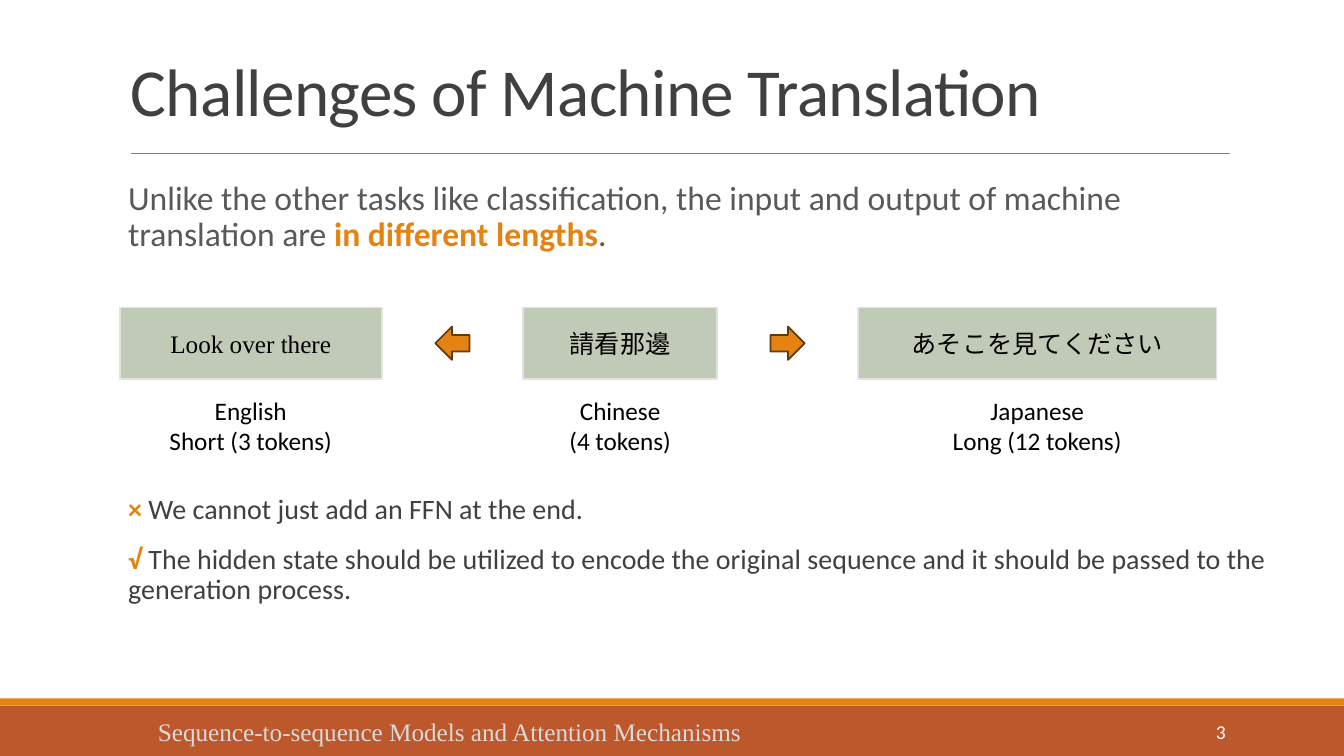
from collections import namedtuple
from dataclasses import dataclass

from lxml.etree import SubElement
from pptx import Presentation
from pptx.dml.color import RGBColor
from pptx.enum.shapes import MSO_CONNECTOR as Connector, MSO_SHAPE as Preset
from pptx.enum.text import MSO_ANCHOR as Anchor, PP_ALIGN as Align
from pptx.oxml.ns import qn
from pptx.util import Cm, Pt

Box = namedtuple("Box", "left top width height")
Card = namedtuple("Card", "phrase font left width caption caption_width")


@dataclass(frozen=True)
class Theme:
    sans: str = "Calibri"
    serif: str = "Times New Roman"
    cjk: str = "Noto Sans CJK TC"
    accent: str = "E48312"
    accent_edge: str = "643908"
    bar: str = "BD582C"
    rule: str = "808080"
    dark: str = "404040"
    muted: str = "595959"
    black: str = "000000"
    white: str = "FFFFFF"
    pale: str = "D9D9D9"
    card: str = "C1CAB6"
    card_edge: str = "E0E4DB"
    title_size: int = 48
    intro_size: int = 24
    point_size: int = 20
    label_size: int = 18
    number_size: int = 14


THEME = Theme()
CARDS = [
    Card("Look over there", THEME.serif, 0, 6.6, ["English", "Short (3 tokens)"], 5.13),
    Card("請看那邊", THEME.cjk, 10.16, 4.9, ["Chinese", "(4 tokens)"], 3.63),
    Card("あそこを見てください", THEME.serif, 18.6, 9.04,
         ["Japanese", "Long (12 tokens)"], 5.77),
]


def place(box):
    return [Cm(length) for length in box]


def style(span, size, color, font=THEME.sans, bold=False):
    span.font.size = Pt(size)
    span.font.name = font
    span.font.bold = bold
    span.font.color.rgb = RGBColor.from_string(color)
    east_asian = SubElement(span.font._element, qn("a:ea"))
    east_asian.set("typeface", THEME.cjk)


def add_block(page, preset, box, fill, edge=None):
    block = page.shapes.add_shape(preset, *place(box))
    block.shadow.inherit = False
    block.fill.solid()
    block.fill.fore_color.rgb = RGBColor.from_string(fill)
    if edge:
        block.line.color.rgb = RGBColor.from_string(edge)
        block.line.width = Pt(1.25)
    else:
        block.line.fill.background()
    return block


def add_label(page, box, lines, size, color, font=THEME.sans,
              align=Align.LEFT, anchor=Anchor.TOP):
    frame = page.shapes.add_textbox(*place(box)).text_frame
    frame.word_wrap = True
    frame.vertical_anchor = anchor
    frame.text = "\n".join(lines)
    for para in frame.paragraphs:
        para.alignment = align
        for span in para.runs:
            style(span, size, color, font)
    return frame


def add_body(page, box, paragraphs, size):
    frame = page.shapes.add_textbox(*place(box)).text_frame
    frame.word_wrap = True
    frame.margin_left = frame.margin_right = 0
    for index, pieces in enumerate(paragraphs):
        para = frame.add_paragraph() if index else frame.paragraphs[0]
        para.line_spacing = 0.9
        para.space_after = Pt(2)
        if index:
            para.space_before = Pt(12)
        for text, color in pieces:
            span = para.add_run()
            span.text = text
            style(span, size, color, bold=color == THEME.accent)


def draw_footer(page, box):
    stripe = 0.18
    add_block(page, Preset.RECTANGLE,
              Box(box.left, box.top + stripe, box.width, box.height - stripe), THEME.bar)
    add_block(page, Preset.RECTANGLE, box._replace(height=stripe), THEME.accent)
    text_top = box.top + 0.33
    add_label(page, Box(box.left + 3.73, text_top, 17.65, 1.02),
              ["Sequence-to-sequence Models and Attention Mechanisms"],
              THEME.label_size, THEME.pale, THEME.serif)
    add_label(page, Box(box.left + 27.51, text_top, 3.63, 1.02), ["3"],
              THEME.number_size, THEME.white, align=Align.RIGHT, anchor=Anchor.MIDDLE)


def draw_title(page, box):
    frame = add_label(page, box, ["Challenges of Machine Translation"],
                      THEME.title_size, THEME.dark, anchor=Anchor.MIDDLE)
    para = frame.paragraphs[0]
    para.line_spacing = 0.85
    para.runs[0].font._element.set("spc", "-50")
    bottom = Cm(box.top + box.height)
    rule = page.shapes.add_connector(Connector.STRAIGHT, Cm(box.left + 0.25), bottom,
                                     Cm(box.left + box.width), bottom)
    rule.line.color.rgb = RGBColor.from_string(THEME.rule)
    rule.line.width = Pt(0.5)
    SubElement(rule._element.spPr, qn("a:effectLst"))


def draw_card(page, box, card):
    block = add_block(page, Preset.RECTANGLE, box, THEME.card, THEME.card_edge)
    frame = block.text_frame
    frame.text = card.phrase
    frame.vertical_anchor = Anchor.MIDDLE
    frame.paragraphs[0].alignment = Align.CENTER
    style(frame.paragraphs[0].runs[0], THEME.label_size, THEME.black, card.font)
    caption_left = box.left + (box.width - card.caption_width) / 2
    add_label(page, Box(caption_left, box.top + 2.08, card.caption_width, 1.8),
              card.caption, THEME.label_size, THEME.black, align=Align.CENTER)


def draw_translations(page, box):
    card_height, arrow_width, arrow_height = 1.8, 0.86, 0.84
    for card in CARDS:
        draw_card(page, Box(box.left + card.left, box.top, card.width, card_height), card)
    arrows = [Preset.LEFT_ARROW, Preset.RIGHT_ARROW]
    for arrow, before, after in zip(arrows, CARDS, CARDS[1:]):
        middle = box.left + (before.left + before.width + after.left) / 2
        add_block(page, arrow,
                  Box(middle - arrow_width / 2, box.top + (card_height - arrow_height) / 2,
                      arrow_width, arrow_height), THEME.accent, THEME.accent_edge)


def draw_intro(page, box):
    add_body(page, box, [[
        ("Unlike the other tasks like classification, the input and output of "
         "machine translation are ", THEME.muted),
        ("in different lengths", THEME.accent),
        (".", THEME.muted),
    ]], THEME.intro_size)


def draw_conclusions(page, box):
    add_body(page, box, [
        [("×", THEME.accent), (" We cannot just add an FFN at the end.", THEME.dark)],
        [("√ ", THEME.accent),
         ("The hidden state should be utilized to encode the original sequence and "
          "it should be passed to the generation process.", THEME.dark)],
    ], THEME.point_size)


def main():
    deck = Presentation()
    deck.slide_width, deck.slide_height = Cm(33.87), Cm(19.05)
    page = deck.slides.add_slide(deck.slide_layouts[6])
    draw_footer(page, Box(0, 17.6, 33.87, 1.45))
    draw_title(page, Box(3.05, 0.99, 27.94, 2.87))
    draw_intro(page, Box(3.23, 4.45, 28.68, 2.2))
    draw_translations(page, Box(3.02, 7.75, 27.64, 3.88))
    draw_conclusions(page, Box(3.23, 12.36, 28.68, 3.2))
    deck.save("out.pptx")


if __name__ == "__main__":
    main()
